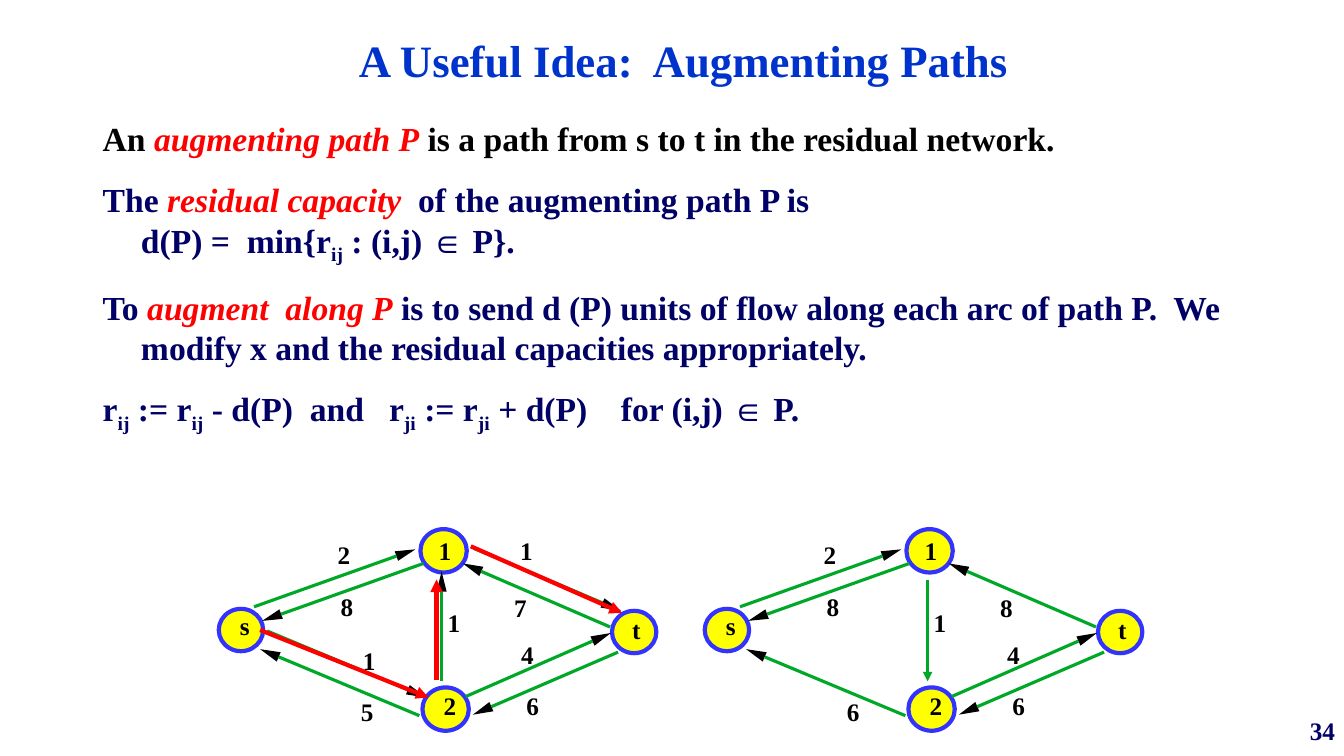
from math import hypot

from lxml import etree
from pptx import Presentation
from pptx.dml.color import RGBColor
from pptx.enum.dml import MSO_LINE_DASH_STYLE
from pptx.enum.shapes import MSO_CONNECTOR, MSO_SHAPE
from pptx.enum.text import MSO_ANCHOR, MSO_AUTO_SIZE, PP_ALIGN
from pptx.oxml.ns import qn
from pptx.util import Pt

PX = 9144
FONT = "Times New Roman"
BLACK = RGBColor(0x00, 0x00, 0x00)
NAVY = RGBColor(0x00, 0x00, 0x66)
TITLE_BLUE = RGBColor(0x00, 0x33, 0xCC)
RING_BLUE = RGBColor(0x33, 0x33, 0xFF)
YELLOW = RGBColor(0xFF, 0xFF, 0x00)
GREEN = RGBColor(0x00, 0xA8, 0x28)
RED = RGBColor(0xFF, 0x00, 0x00)
SOLID = MSO_LINE_DASH_STYLE.SOLID
STRAIGHT = MSO_CONNECTOR.STRAIGHT
OVAL = MSO_SHAPE.OVAL
TOP, MIDDLE, BOTTOM = MSO_ANCHOR.TOP, MSO_ANCHOR.MIDDLE, MSO_ANCHOR.BOTTOM
FIT_SHAPE, NO_FIT = MSO_AUTO_SIZE.SHAPE_TO_FIT_TEXT, MSO_AUTO_SIZE.NONE
LEFT, CENTER, RIGHT = PP_ALIGN.LEFT, PP_ALIGN.CENTER, PP_ALIGN.RIGHT

TITLE = "A Useful Idea:  Augmenting Paths"
PAGE_NUMBER = "34"
BODY = [
    [("An ", "black"), ("augmenting path P", "term"),
     (" is a path from s to t in the residual network.", "black")],
    [("The ", "navy"), ("residual capacity", "term"),
     ("  of the augmenting path P is\vd(P) =  min{r", "navy"),
     ("ij", "sub"), (" : (i,j) ∈ P}.", "navy")],
    [("To ", "navy"), ("augment  along P", "term"),
     (" is to send d (P) units of flow along each arc of path P.  "
      "We modify x and the residual capacities appropriately.", "navy")],
    [("r", "navy"), ("ij", "sub"), (" := r", "navy"), ("ij", "sub"),
     (" - d(P)  and\tr", "navy"), ("ji", "sub"), (" := r", "navy"),
     ("ji", "sub"), (" + d(P)\tfor (i,j) ∈ P.", "navy")],
]
STYLES = {
    "black": {"color": BLACK},
    "navy": {"color": NAVY},
    "term": {"color": RED, "italic": True},
    "sub": {"color": NAVY},
}
UPDATE_TABS = [284, 514]
HANGING = 38

NODES = [
    ("s", (217, 604, 44, 42), (238, 606, 10, 40)),
    ("1", (417, 525, 46, 43), (435, 531, 13, 40)),
    ("2", (419, 682, 46, 43), (440, 685, 13, 40)),
    ("t", (607, 606, 44, 42), (627, 609, 8, 40)),
]
ARCS = {
    "s1": ((252, 602), (412, 545), (335, 535)),
    "s2": ((265, 626), (423, 692), (360, 640)),
    "1t": ((470, 544), (616, 606), (516, 531)),
    "2t": ((462, 691), (606, 628), (517, 634)),
    "21": ((438, 676), (438, 567), (444, 603)),
    "12": ((438, 575), (438, 676), (444, 603)),
    "1s": ((420, 559), (260, 616), (338, 587)),
    "t1": ((605, 622), (459, 559), (510, 588)),
    "t2": ((613, 647), (469, 709), (522, 685)),
    "2s": ((416, 710), (258, 644), (358, 691)),
}
BEFORE = {"s1": "2", "s2": "1", "1t": "1", "2t": "4", "21": "1",
          "1s": "8", "t1": "7", "t2": "6", "2s": "5"}
AFTER = {"s1": "2", "2t": "4", "12": "1", "1s": "8", "t1": "8",
         "t2": "6", "2s": "6"}
AUGMENTING_PATH = [((258, 625), (425, 692)), ((433, 675), (433, 575)),
                   ((467, 542), (617, 608))]
GRAPH_SHIFT = 482
HEAD_LENGTH, HEAD_HALF_WIDTH = 20, 5


def emu(*lengths):
    return [round(length * PX) for length in lengths]


def set_all(target, values):
    for name, value in values.items():
        setattr(target, name, value)


def set_frame(frame, anchor, wrap, insets, fit=NO_FIT):
    left, top, right, bottom = emu(*insets)
    set_all(frame, {"auto_size": fit, "word_wrap": wrap,
                    "vertical_anchor": anchor, "margin_left": left,
                    "margin_top": top, "margin_right": right,
                    "margin_bottom": bottom})


def add_span(para, text, size, color, **extra):
    para.add_run().text = text
    span = para.runs[-1] if "\v" not in text else None
    if span is None:
        para._p.remove(para.runs[-1]._r)
        first, second = text.split("\v")
        add_span(para, first, size, color, **extra)
        para.add_line_break()
        return add_span(para, second, size, color, **extra)
    set_all(span.font, {"name": FONT, "size": Pt(size), "bold": True, **extra})
    span.font.color.rgb = color
    return span


def add_label(shapes, text, area, color=BLACK, align=LEFT, anchor=TOP,
              insets=(0, 0, 0, 0), fit=FIT_SHAPE):
    box = shapes.add_textbox(*emu(*area))
    set_frame(box.text_frame, anchor, False, insets, fit)
    para = box.text_frame.paragraphs[0]
    para.alignment = align
    add_span(para, text, 18, color)


def add_line(shapes, start, end, color, width, arrow):
    line = shapes.add_connector(STRAIGHT, *emu(*start, *end))
    set_all(line.line, {"width": Pt(width), "dash_style": SOLID})
    line.line.color.rgb = color
    properties = line._element.spPr
    if arrow:
        outline = properties.find(qn("a:ln"))
        etree.SubElement(outline, qn("a:tailEnd"), type="triangle")
    etree.SubElement(properties, qn("a:effectLst"))


def add_arc(shapes, start, tip):
    run, rise = tip[0] - start[0], tip[1] - start[1]
    length = hypot(run, rise)
    across, down = run / length, rise / length
    base = (tip[0] - HEAD_LENGTH * across, tip[1] - HEAD_LENGTH * down)
    barbs = [(base[0] - side * down, base[1] + side * across)
             for side in (HEAD_HALF_WIDTH, -HEAD_HALF_WIDTH)]
    builder = shapes.build_freeform(*emu(*tip))
    builder.add_line_segments([emu(*barb) for barb in barbs], close=True)
    head = builder.convert_to_shape()
    head.shadow.inherit = False
    head.fill.solid()
    head.fill.fore_color.rgb = BLACK
    head.line.fill.background()
    add_line(shapes, start, base, GREEN, 2.25, False)


def add_graph(page, capacities, shift):
    shapes = page.shapes.add_group_shape().shapes
    for name, (left, top, *size), (label_left, label_top, *label_size) in NODES:
        node = shapes.add_shape(OVAL, *emu(left + shift, top, *size))
        node.shadow.inherit = False
        node.fill.solid()
        node.fill.fore_color.rgb = YELLOW
        node.line.color.rgb = RING_BLUE
        node.line.width = Pt(3)
        add_label(shapes, name, (label_left + shift, label_top, *label_size))
    for arc, capacity in capacities.items():
        start, tip, label = [(x + shift, y) for x, y in ARCS[arc]]
        if arc == "12":
            add_line(shapes, start, tip, GREEN, 2.25, True)
        else:
            add_arc(shapes, start, tip)
        add_label(shapes, capacity, (*label, 13, 40))


def add_body(page):
    box = page.shapes.add_textbox(*emu(92, 108, 1208, 408))
    set_frame(box.text_frame, TOP, True, (10, 9, 10, 5))
    for index, spans in enumerate(BODY):
        para = box.text_frame.add_paragraph() if index else box.text_frame.paragraphs[0]
        para.space_after = Pt(15)
        properties = para._p.get_or_add_pPr()
        if any("\t" in text for text, _ in spans):
            stops = etree.SubElement(properties, qn("a:tabLst"))
            for stop in UPDATE_TABS:
                etree.SubElement(stops, qn("a:tab"), pos=str(stop * PX), algn="l")
        else:
            properties.set("marL", str(HANGING * PX))
            properties.set("indent", str(-HANGING * PX))
        for text, style in spans:
            span = add_span(para, text, 24, **STYLES[style])
            if style == "sub":
                span.font._element.set("baseline", "-25000")


def main():
    deck = Presentation()
    deck.slide_width, deck.slide_height = emu(1333, 750)
    page = deck.slides.add_slide(deck.slide_layouts[5])
    title = page.shapes.title
    left, top, width, height = emu(56, 33, 1244, 58)
    set_all(title, {"left": left, "top": top, "width": width, "height": height})
    set_frame(title.text_frame, BOTTOM, True, (10, 5, 10, 5))
    heading = title.text_frame.paragraphs[0]
    heading.alignment = CENTER
    add_span(heading, TITLE, 32, TITLE_BLUE)
    add_label(page.shapes, PAGE_NUMBER, (1078, 700, 256, 50), NAVY, RIGHT,
              MIDDLE, (10, 5, 10, 5), NO_FIT)
    add_body(page)
    add_graph(page, BEFORE, 0)
    for start, end in AUGMENTING_PATH:
        add_line(page.shapes, start, end, RED, 3, True)
    add_graph(page, AFTER, GRAPH_SHIFT)
    deck.save("out.pptx")


if __name__ == "__main__":
    main()
